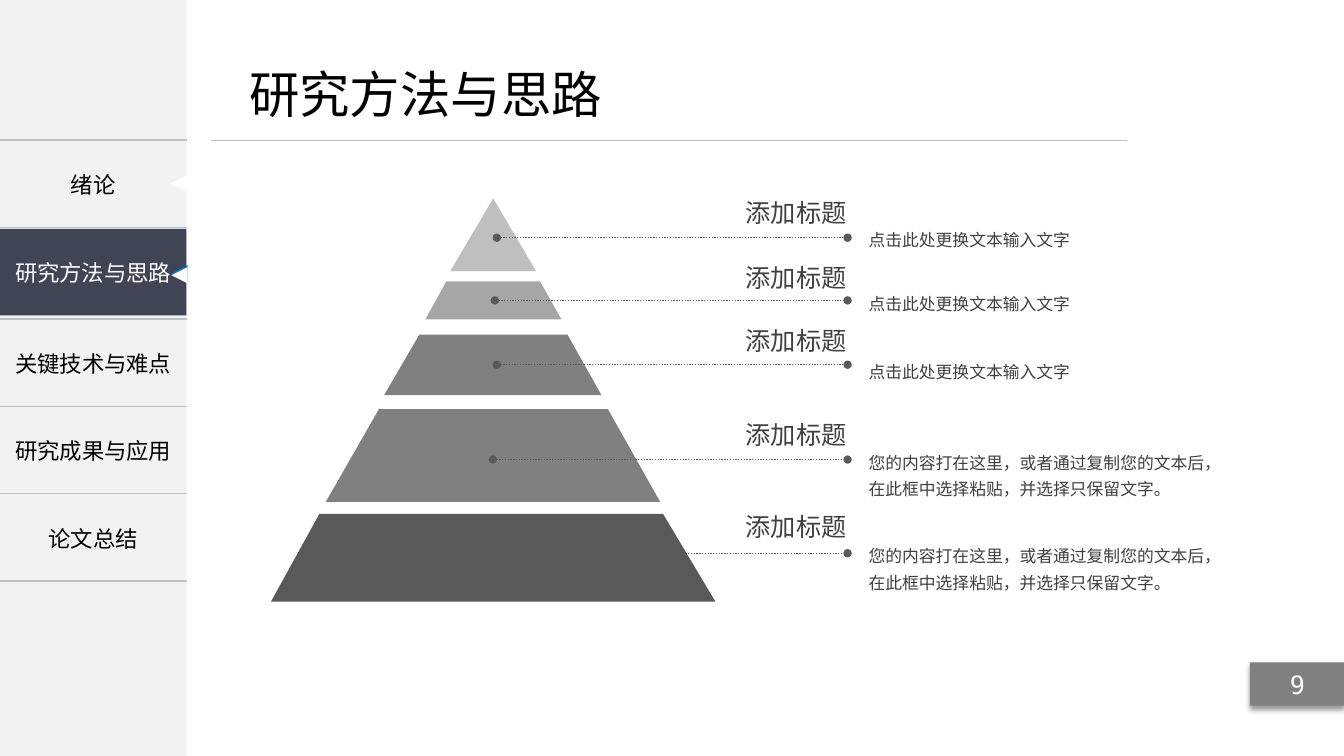
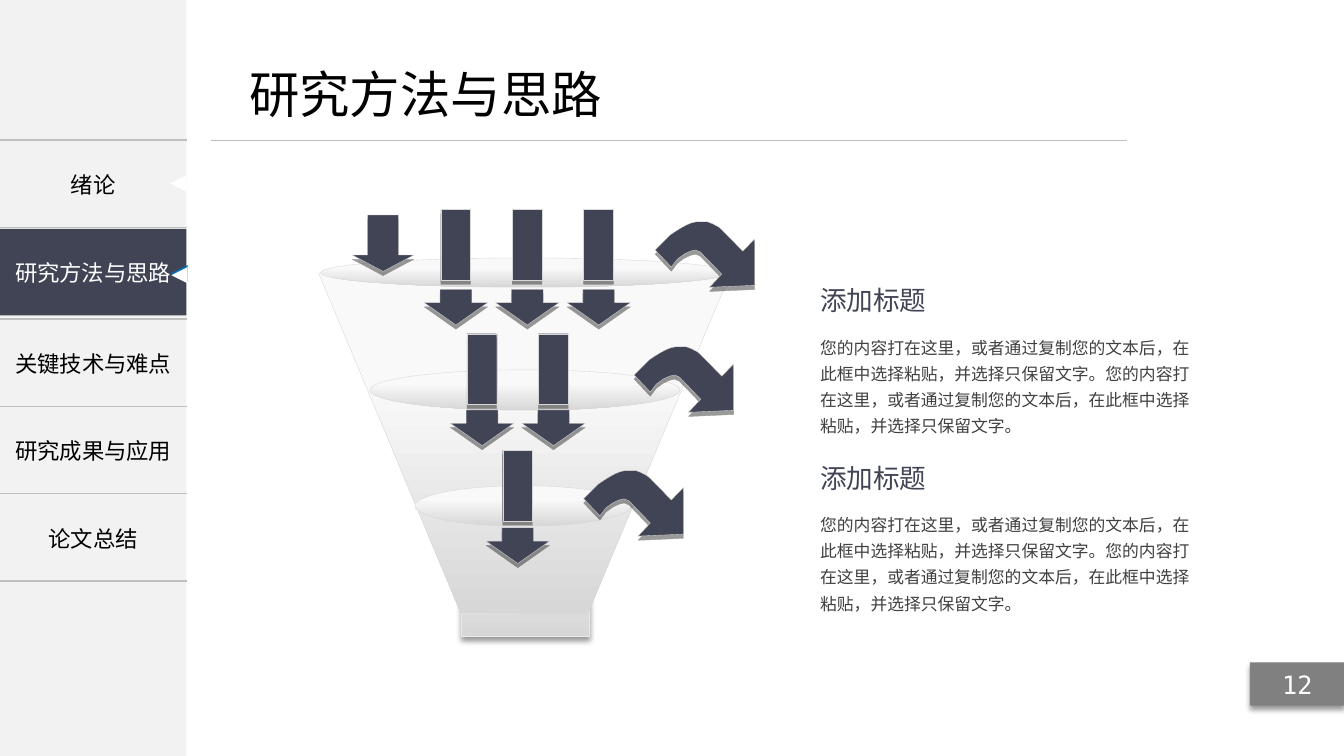
from typing import NamedTuple

from lxml.etree import SubElement
from pptx import Presentation
from pptx.dml.color import RGBColor
from pptx.enum.dml import MSO_LINE
from pptx.enum.shapes import MSO_CONNECTOR, MSO_SHAPE
from pptx.enum.text import MSO_ANCHOR, PP_ALIGN
from pptx.oxml.ns import qn
from pptx.util import Cm, Pt

HUES = {
    "black": "000000", "white": "FFFFFF", "panel": "F2F2F2", "rule": "BFBFBF",
    "navy": "414455", "blue": "0070C0", "mid": "808080", "soft": "A6A6A6",
    "dark": "595959", "text": "404040", "edge": "D7D7D7", "rim": "EAEAEA",
    "pale": "F9F9F9",
}
SANS, MONO = "Noto Sans CJK SC", "DejaVu Sans Mono"
TOPIC = "研究方法与思路"
MENU = ["绪论", "", "关键技术与难点", "研究成果与应用", "论文总结"]
HEAD = "添加标题"
SHORT = "点击此处更换文本输入文字"
LONG = "您的内容打在这里，或者通过复制您的文本后，在此框中选择粘贴，并选择只保留文字。"


class Box(NamedTuple):
    """Left, top, width and height in centimetres."""
    x: float
    y: float
    w: float
    h: float


class Style(NamedTuple):
    size: float
    hue: str = "text"
    align: PP_ALIGN = PP_ALIGN.LEFT
    space: float = 1.0
    font: str = SANS


class Tier(NamedTuple):
    """A trapezoid: top and bottom edges, then their left and right ends."""
    top: float
    base: float
    tops: tuple[float, float]
    bases: tuple[float, float]
    hue: str


class Note(NamedTuple):
    start: float
    line: float
    head: float
    body: float
    text: str


class Row(NamedTuple):
    """Arrows of one funnel level: centre of the first one, count, tops."""
    mid: float
    count: int
    top: float
    tip: float


MENU_STYLE = Style(16, "black", PP_ALIGN.CENTER)
BODY = Style(12, space=1.3)

TIERS = [
    Tier(10.31, 12.65, (9.55, 15.32), (8.21, 16.64), "mid"),
    Tier(7.09, 8.05, (11.25, 13.61), (10.72, 14.15), "soft"),
    Tier(8.43, 9.96, (10.57, 14.3), (9.68, 15.16), "mid"),
    Tier(12.95, 15.16, (8.05, 16.71), (6.83, 18.03), "dark"),
]
NOTES = [
    Note(12.52, 5.99, 4.88, 5.54, SHORT),
    Note(12.47, 7.57, 6.5, 7.14, SHORT),
    Note(12.52, 9.19, 8.1, 8.86, SHORT),
    Note(12.42, 11.58, 10.46, 11.15, LONG),
    Note(12.42, 13.94, 12.78, 13.51, LONG),
]
FUNNEL = [(8.03, 6.88), (11.61, 15.44), (14.81, 15.47), (18.39, 6.93)]
RINGS = [Box(8.08, 6.5, 10.29, 0.74), Box(9.32, 9.32, 7.82, 1.02),
         Box(10.46, 12.24, 5.44, 1.02)]
ROWS = [Row(11.49, 3, 5.28, 7.29), Row(12.15, 2, 8.41, 10.33),
        Row(13.05, 1, 11.35, 13.3)]
CURL = [
    (2.51, 0.43), (2.51, 1.6), (1.37, 1.65), (1.68, 1.32), (1.14, 0.76),
    (1.02, 0.71), (0.89, 0.74), (0.74, 0.81), (0.56, 0.94), (0.41, 1.14),
    (0, 0.71), (0.28, 0.43), (0.38, 0.33), (0.53, 0.23), (0.66, 0.15),
    (0.79, 0.08), (0.91, 0.03), (1.04, 0), (1.19, 0), (1.32, 0),
    (1.45, 0.05), (1.6, 0.13), (1.68, 0.2), (2.21, 0.74),
]
CURLS = [(16.51, 5.59), (15.98, 8.74), (14.71, 11.86)]


def rgb(hue: str) -> RGBColor:
    return RGBColor.from_string(HUES[hue])


def write(frame, text: str, style: Style) -> None:
    para = frame.paragraphs[0]
    para.alignment = style.align
    para.line_spacing = style.space
    run = para.add_run()
    run.text = text
    run.font.size = Pt(style.size)
    run.font.name = style.font
    run.font.color.rgb = rgb(style.hue)
    SubElement(run.font._element, qn("a:ea"), typeface=style.font)


def pad(frame, inset: float, anchor: MSO_ANCHOR, wrap: bool = True) -> None:
    frame.margin_left = frame.margin_right = Cm(inset)
    frame.margin_top = frame.margin_bottom = Cm(inset)
    frame.vertical_anchor = anchor
    frame.word_wrap = wrap


def label(slide, box: Box, text: str, style: Style, inset: float = 0.1,
          wrap: bool = True) -> None:
    frame = slide.shapes.add_textbox(*map(Cm, box)).text_frame
    pad(frame, inset, MSO_ANCHOR.TOP, wrap)
    write(frame, text, style)


def paint(shape, hue: str = "", edge: str = "", blur: int = -1):
    """Fill with one hue, or the funnel gradient; blur >= 0 casts a shadow."""
    if hue:
        shape.fill.solid()
        shape.fill.fore_color.rgb = rgb(hue)
    else:
        shape.fill.gradient()
        shape.fill.gradient_angle = 270
        stops = zip(shape.fill.gradient_stops, [(0.33, "pale"), (1, "edge")])
        for stop, (pos, tone) in stops:
            stop.position = pos
            stop.color.rgb = rgb(tone)
    if edge:
        shape.line.color.rgb = rgb(edge)
        shape.line.width = Pt(0.25)
    else:
        shape.line.fill.background()
    shape.shadow.inherit = False
    if blur >= 0:
        glow = shape._element.spPr.find(qn("a:effectLst"))
        cast = SubElement(glow, qn("a:outerShdw"), blurRad=str(Pt(blur)),
                          dist=str(Pt(3)), dir="5400000", algn="t", rotWithShape="0")
        tint = SubElement(cast, qn("a:srgbClr"), val=HUES["black"])
        SubElement(tint, qn("a:alpha"), val="40000")
    return shape


def block(slide, kind: MSO_SHAPE, box: Box, hue: str = "", edge: str = "",
          blur: int = -1):
    return paint(slide.shapes.add_shape(kind, *map(Cm, box)), hue, edge, blur)


def outline(slide, points: list, hue: str = "", edge: str = "", blur: int = -1) -> None:
    first, *rest = [(Cm(x), Cm(y)) for x, y in points]
    form = slide.shapes.build_freeform(*first, scale=1.0)
    form.add_line_segments(rest, close=True)
    paint(form.convert_to_shape(), hue, edge, blur)


def rule(slide, left: float, right: float, y: float, hue: str, width: float,
         dots: bool = False) -> None:
    link = slide.shapes.add_connector(
        MSO_CONNECTOR.STRAIGHT, Cm(left), Cm(y), Cm(right), Cm(y))
    link.line.color.rgb = rgb(hue)
    link.line.width = Pt(width)
    spot = link._element.spPr
    if dots:
        link.line.dash_style = MSO_LINE.ROUND_DOT
        for end in ("a:headEnd", "a:tailEnd"):
            SubElement(spot.find(qn("a:ln")), qn(end), type="oval")
    SubElement(spot, qn("a:effectLst"))


def border(cell) -> None:
    props = cell._tc.get_or_add_tcPr()
    for side in ("a:lnL", "a:lnR"):
        SubElement(SubElement(props, qn(side), w="0"), qn("a:noFill"))
    for side in ("a:lnT", "a:lnB"):
        line = SubElement(props, qn(side), w=str(Pt(1)))
        fill = SubElement(line, qn("a:solidFill"))
        SubElement(fill, qn("a:srgbClr"), val=HUES["rule"])
    cell.fill.background()


def menu(slide) -> None:
    grid = slide.shapes.add_table(
        len(MENU), 1, Cm(0), Cm(3.53), Cm(4.7), Cm(11.11)).table
    grid.first_row = grid.horz_banding = False
    for i, text in enumerate(MENU):
        grid.rows[i].height = Cm(2.2 if text else 2.31)
        cell = grid.cell(i, 0)
        cell.margin_left = cell.margin_right = Cm(0.13)
        cell.margin_top = cell.margin_bottom = Cm(0.13)
        cell.vertical_anchor = MSO_ANCHOR.MIDDLE
        border(cell)
        if text:
            write(cell.text_frame, text, MENU_STYLE)
    # Current entry and its pointers
    tab = block(slide, MSO_SHAPE.RECTANGLE, Box(0, 5.77, 4.7, 2.18), "navy")
    pad(tab.text_frame, 0.13, MSO_ANCHOR.MIDDLE)
    write(tab.text_frame, TOPIC, MENU_STYLE._replace(hue="white"))
    for x, y, hue in [(4.29, 4.42, "white"), (4.32, 6.68, "blue"), (4.32, 6.73, "white")]:
        mark = block(slide, MSO_SHAPE.ISOSCELES_TRIANGLE, Box(x, y, 0.41, 0.41), hue)
        mark.rotation = 270


def base(deck, page: int):
    """Add a slide with side panel, menu, title and page number."""
    slide = deck.slides.add_slide(deck.slide_layouts[5])
    block(slide, MSO_SHAPE.RECTANGLE, Box(0, 0, 4.7, 19.05), "panel")
    rule(slide, 5.31, 28.4, 3.53, "rule", 0.5)
    title = slide.shapes.title
    title.left, title.top, title.width, title.height = map(
        Cm, Box(6.15, 1.45, 9.17, 2.01))
    pad(title.text_frame, 0.13, MSO_ANCHOR.TOP, False)
    write(title.text_frame, TOPIC, Style(36, "black"))
    menu(slide)
    tag = block(slide, MSO_SHAPE.RECTANGLE, Box(31.5, 16.69, 2.39, 1.09), "mid", blur=4)
    pad(tag.text_frame, 0.13, MSO_ANCHOR.MIDDLE)
    write(tag.text_frame, str(page), Style(18, "white", PP_ALIGN.CENTER, font=MONO))
    return slide


def pyramid(slide) -> None:
    block(slide, MSO_SHAPE.ISOSCELES_TRIANGLE, Box(11.35, 5, 2.16, 1.83), "rule")
    for tier in TIERS:
        (a, b), (c, d) = tier.tops, tier.bases
        outline(slide, [(d, tier.base), (b, tier.top), (a, tier.top), (c, tier.base)],
                tier.hue)
    # Leader lines with their captions
    for note in NOTES:
        rule(slide, note.start, 21.36, note.line, "dark", 1, dots=True)
        label(slide, Box(18.67, note.head, 2.79, 1.12), HEAD,
              Style(18, align=PP_ALIGN.CENTER), wrap=False)
        high = 1.6 if note.text == LONG else 0.81
        label(slide, Box(21.79, note.body, 9.5, high), note.text, BODY)


def arrow(slide, box: Box, head: float) -> None:
    shape = block(slide, MSO_SHAPE.DOWN_ARROW, box, "navy", "edge", 0)
    shape.adjustments[0], shape.adjustments[1] = 0.5, head


def funnel(slide) -> None:
    block(slide, MSO_SHAPE.RECTANGLE, Box(11.63, 11.56, 3.23, 4.47), edge="rim", blur=4)
    outline(slide, FUNNEL, edge="edge")
    for ring in RINGS:
        block(slide, MSO_SHAPE.OVAL, ring, edge="edge")
    # Arrows leaving the funnel
    for left, top in CURLS:
        outline(slide, [(left + x, top + y) for x, y in CURL], "navy", "edge", 0)
    # Arrows falling through each level
    for row in ROWS:
        for i in range(row.count):
            mid = row.mid + 1.8 * i
            arrow(slide, Box(mid - 0.8, row.tip, 1.6, 0.9), 0.625)
            block(slide, MSO_SHAPE.RECTANGLE, Box(mid - 0.38, row.top, 0.75, 1.78),
                  "navy", "edge", 0)
    arrow(slide, Box(8.88, 5.42, 1.55, 1.42), 0.29)
    # Text column
    for top in (7.01, 11.48):
        label(slide, Box(20.52, top, 9.93, 1.22), HEAD, Style(19, "navy"), 0.15)
        label(slide, Box(20.52, top + 1.19, 9.93, 3.25), LONG * 2, BODY, 0.15)


def main() -> None:
    deck = Presentation()
    deck.slide_width, deck.slide_height = Cm(33.87), Cm(19.05)
    pyramid(base(deck, 9))
    funnel(base(deck, 12))
    deck.save("out.pptx")


if __name__ == "__main__":
    main()
